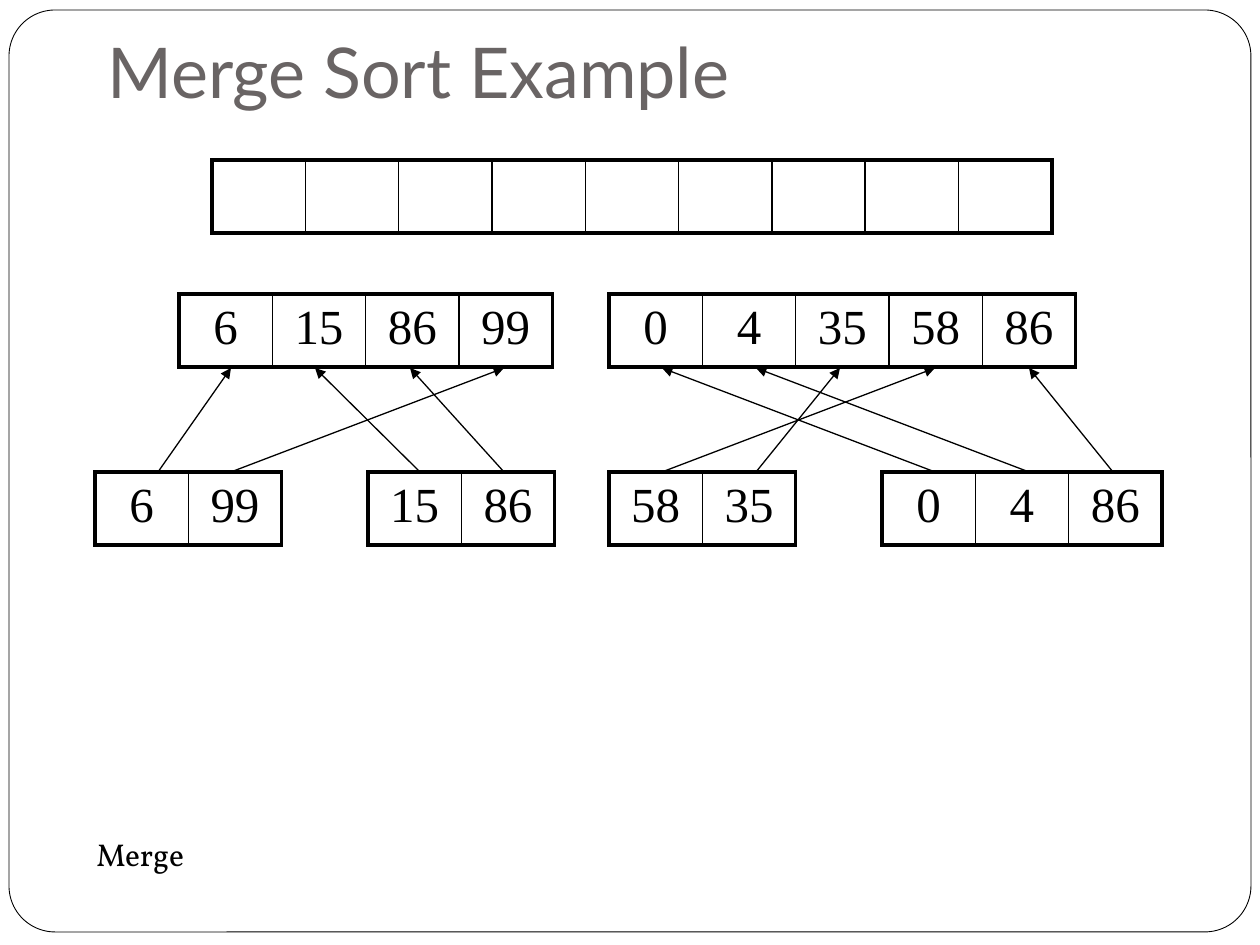
from lxml import etree
from pptx import Presentation
from pptx.dml.color import RGBColor
from pptx.enum.shapes import MSO_CONNECTOR, MSO_SHAPE
from pptx.enum.text import MSO_ANCHOR, PP_ALIGN
from pptx.oxml.ns import qn
from pptx.util import Emu, Pt

ROUND_RECT = MSO_SHAPE.ROUNDED_RECTANGLE
STRAIGHT = MSO_CONNECTOR.STRAIGHT
TOP, BOTTOM = MSO_ANCHOR.TOP, MSO_ANCHOR.BOTTOM
CENTER = PP_ALIGN.CENTER

BLACK = RGBColor(0x00, 0x00, 0x00)
WHITE = RGBColor(0xFF, 0xFF, 0xFF)
GRAY = RGBColor(0x69, 0x64, 0x64)

EMU_PER_PX = 914400 / 126
THICK, THIN = 2.25, 1


def px(n):
    return Emu(round(n * EMU_PER_PX))


CELL_W = px(280) // 3
CELL_H = px(73)
MERGED_Y, PARTS_Y = 294, 472
MERGED_BOTTOM = 368

ARRAYS = [
    (212, 160, [""] * 9),
    (179, MERGED_Y, ["6", "15", "86", "99"]),
    (609, MERGED_Y, ["0", "4", "35", "58", "86"]),
    (95, PARTS_Y, ["6", "99"]),
    (368, PARTS_Y, ["15", "86"]),
    (609, PARTS_Y, ["58", "35"]),
    (882, PARTS_Y, ["0", "4", "86"]),
]

# x in the lower row, x in the merged row
MERGE_ARROWS = [
    (158, 231), (420, 315), (231, 504), (504, 410), (662, 935),
    (935, 662), (1029, 756), (756, 840), (1113, 1029),
]


def add_run(p, text, font, size, color):
    r = p.add_run()
    r.text = text
    r.font.name = font
    r.font.size = Pt(size)
    r.font.color.rgb = color


def add_frame(s):
    sp = s.shapes.add_shape(ROUND_RECT, px(9), px(10), px(1242), px(922))
    sp.adjustments[0] = 0.05
    sp.shadow.inherit = False
    sp.fill.solid()
    sp.fill.fore_color.rgb = WHITE
    sp.line.color.rgb = BLACK
    sp.line.width = Pt(0.5)


def add_text(s, x, y, w, h, text, font, size, color, anchor=TOP):
    sp = s.shapes.add_textbox(px(x), px(y), px(w), px(h))
    tf = sp.text_frame
    tf.word_wrap = True
    tf.vertical_anchor = anchor
    add_run(tf.paragraphs[0], text, font, size, color)
    return tf


def set_borders(cell, left, right):
    """Left and right widths in points; top and bottom are always thick."""
    tc_pr = cell._tc.get_or_add_tcPr()
    sides = [("a:lnL", left), ("a:lnR", right), ("a:lnT", THICK), ("a:lnB", THICK)]
    for i, (tag, width) in enumerate(sides):
        ln = etree.Element(qn(tag), w=str(Pt(width)))
        fill = etree.SubElement(ln, qn("a:solidFill"))
        etree.SubElement(fill, qn("a:srgbClr"), val=str(BLACK))
        tc_pr.insert(i, ln)


def add_array(s, x, y, values):
    n = len(values)
    table = s.shapes.add_table(1, n, px(x), px(y), CELL_W * n, CELL_H).table
    table.first_row = False
    table.horz_banding = False
    for i, value in enumerate(values):
        table.columns[i].width = CELL_W
        cell = table.cell(0, i)
        cell.fill.background()
        set_borders(cell, THICK if i == 0 else THIN, THICK if i == n - 1 else THIN)
        if value:
            p = cell.text_frame.paragraphs[0]
            p.alignment = CENTER
            add_run(p, value, "Times New Roman", 28, BLACK)


def add_arrow(s, x1, y1, x2, y2):
    line = s.shapes.add_connector(STRAIGHT, px(x1), px(y1), px(x2), px(y2))
    line.line.color.rgb = BLACK
    line.line.width = Pt(0.75)
    etree.SubElement(line.line._get_or_add_ln(), qn("a:tailEnd"), type="triangle")
    etree.SubElement(line._element.spPr, qn("a:effectLst"))


def main():
    prs = Presentation()
    prs.slide_width, prs.slide_height = px(1260), px(945)
    s = prs.slides.add_slide(prs.slide_layouts[6])

    add_frame(s)
    title = add_text(s, 95, 0, 1071, 126, "Merge Sort Example", "Lato", 40, GRAY, BOTTOM)
    title.margin_bottom = px(13)
    for x, y, values in ARRAYS:
        add_array(s, x, y, values)
    add_text(s, 84, 829, 640, 63, "Merge", "Vollkorn", 18, BLACK)
    for x_from, x_to in MERGE_ARROWS:
        add_arrow(s, x_from, PARTS_Y, x_to, MERGED_BOTTOM)

    prs.save("out.pptx")


if __name__ == "__main__":
    main()
